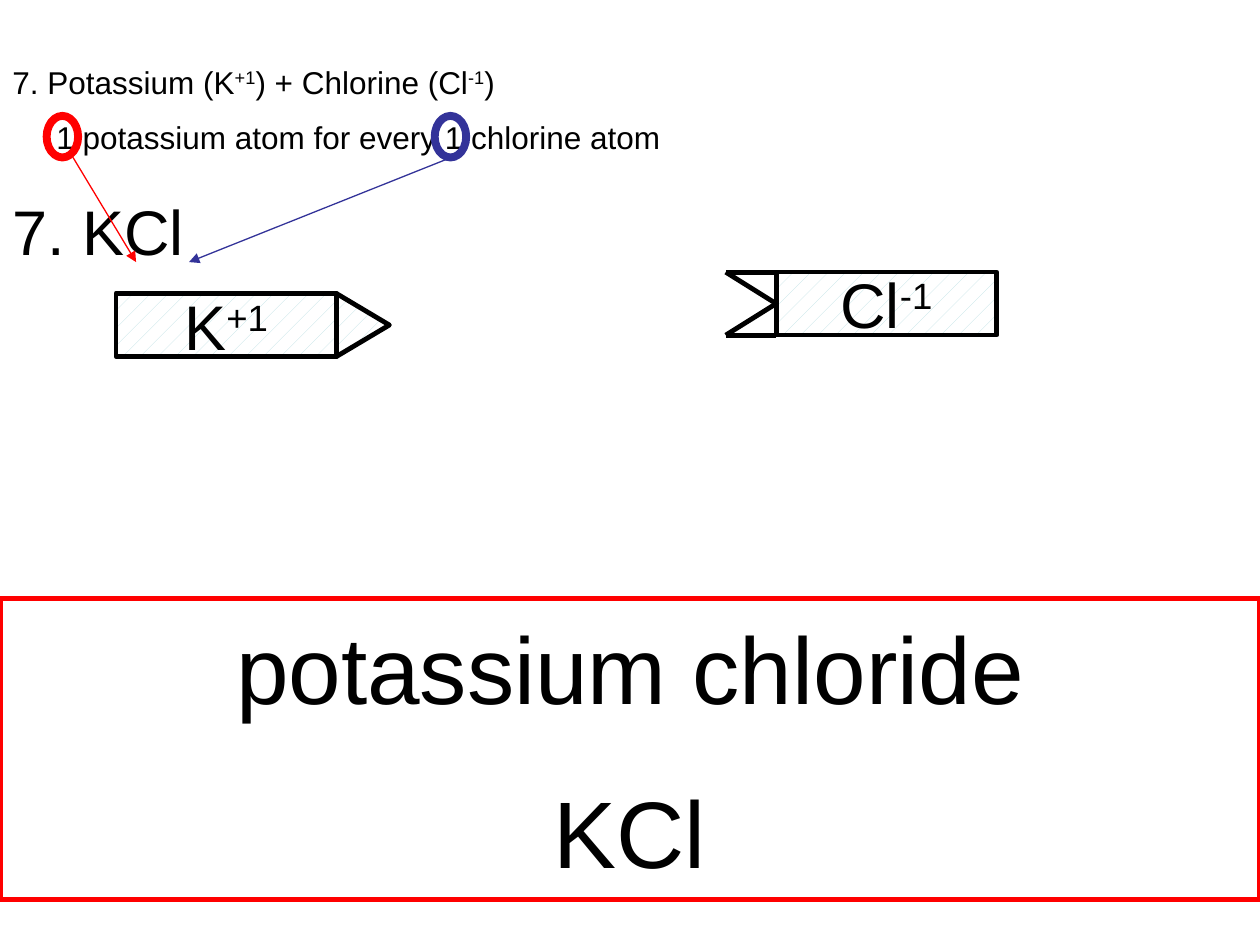
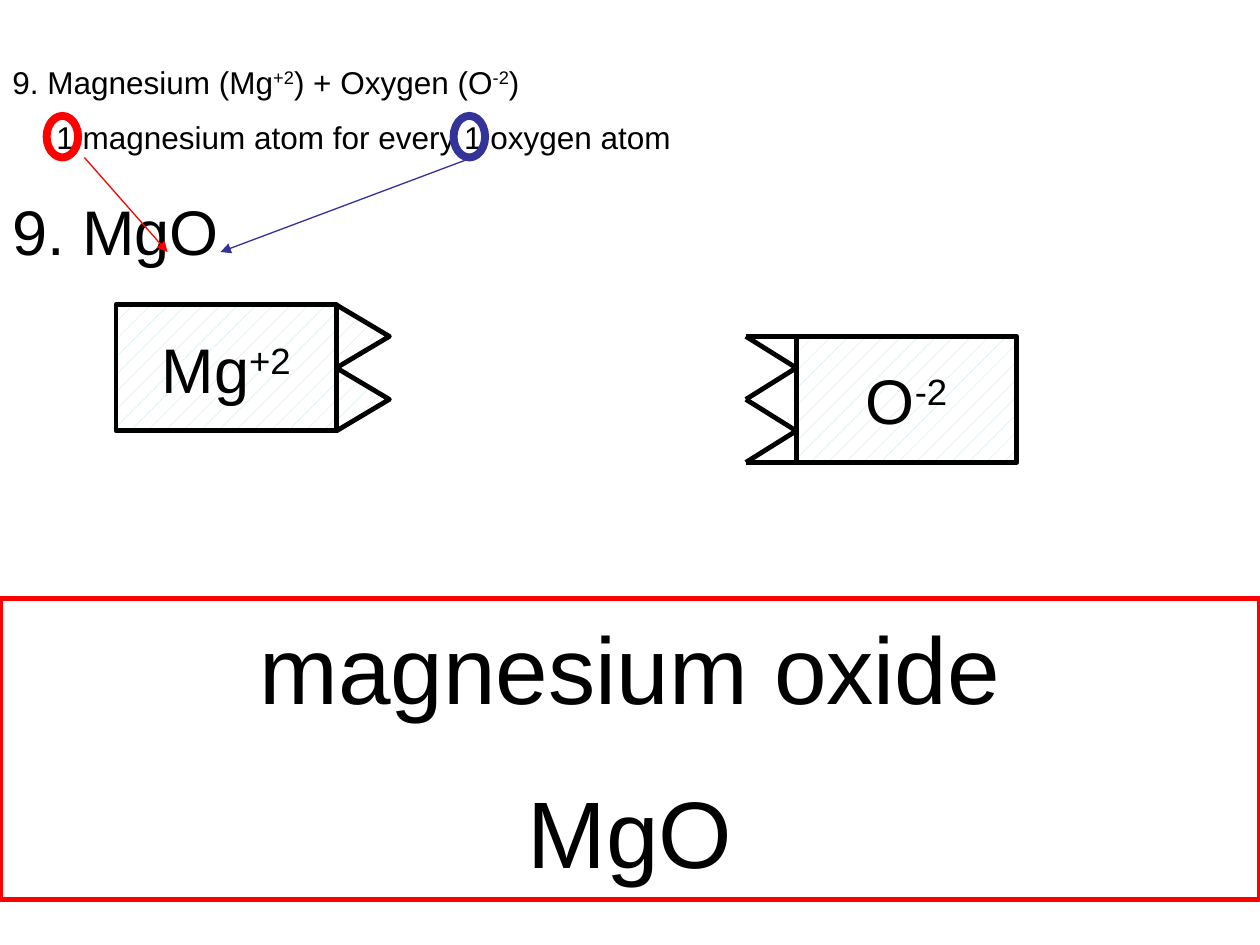
from dataclasses import dataclass

from lxml import etree
from pptx import Presentation
from pptx.dml.color import RGBColor
from pptx.enum.dml import MSO_PATTERN
from pptx.enum.shapes import MSO_CONNECTOR, MSO_SHAPE
from pptx.enum.text import MSO_ANCHOR, PP_ALIGN
from pptx.oxml.ns import qn
from pptx.util import Inches, Pt

RECT, OVAL, TRIANGLE = MSO_SHAPE.RECTANGLE, MSO_SHAPE.OVAL, MSO_SHAPE.ISOSCELES_TRIANGLE
STRAIGHT = MSO_CONNECTOR.STRAIGHT
LEFT, CENTER = PP_ALIGN.LEFT, PP_ALIGN.CENTER
MIDDLE = MSO_ANCHOR.MIDDLE
DOTTED = MSO_PATTERN.PERCENT_5


@dataclass
class Ion:
    element: str
    symbol: str
    charge: str
    corner: tuple  # top left of the ion's block


@dataclass
class Compound:
    number: int
    name: str
    cation: Ion
    anion: Ion
    anion_ring_left: float
    cation_arrow: tuple  # from x, from y, to x, to y
    anion_arrow: tuple

    def formula(self):
        return self.cation.symbol + self.anion.symbol


COMPOUNDS = [
    Compound(7, "potassium chloride",
             Ion("Potassium", "K", "+1", (0.92, 2.33)),
             Ion("Chlorine", "Cl", "-1", (6.16, 2.16)),
             3.45, (0.58, 1.25, 1.08, 2.08), (3.58, 1.25, 1.5, 2.08)),
    Compound(9, "magnesium oxide",
             Ion("Magnesium", "Mg", "+2", (0.92, 2.42)),
             Ion("Oxygen", "O", "-2", (6.32, 2.67)),
             3.6, (0.67, 1.25, 1.33, 2), (3.75, 1.25, 1.75, 2)),
]


class Theme:
    font = "Arial"
    black = RGBColor(0, 0, 0)
    white = RGBColor(255, 255, 255)
    cation = frame = RGBColor(255, 0, 0)
    anion = RGBColor(0x33, 0x33, 0x99)
    tint = RGBColor(0xBB, 0xE0, 0xE3)
    body, formula, answer = 18, 36, 54
    arrow, block, border, ring = 0.75, 2.75, 3, 4.5


BLOCK_WIDTH = 1.75
UNIT = 0.5  # block height for each unit of charge
TOOTH = 0.42
NOTCH = 0.4


def write(p, runs, size, align=LEFT, before=0):
    """Fill a paragraph; every second run is superscript."""
    for i, text in enumerate(runs):
        r = p.add_run()
        r.text = text
        if i % 2:
            r.font._element.set("baseline", "30000")
    p.alignment = align
    p.space_before = Pt(before)
    p.font.name, p.font.size, p.font.color.rgb = Theme.font, Pt(size), Theme.black


def add_outline(shapes, kind, box, color, width):
    sp = shapes.add_shape(kind, *map(Inches, box))
    sp.shadow.inherit = False
    sp.fill.background()
    sp.line.color.rgb, sp.line.width = color, Pt(width)
    return sp


def add_patterned(shapes, kind, box):
    sp = add_outline(shapes, kind, box, Theme.black, Theme.block)
    sp.fill.patterned()
    sp.fill.pattern = DOTTED
    sp.fill.fore_color.rgb, sp.fill.back_color.rgb = Theme.tint, Theme.white
    return sp


def add_line(shapes, ends, color, width, arrow=False):
    line = shapes.add_connector(STRAIGHT, *map(Inches, ends))
    line.line.color.rgb, line.line.width = color, Pt(width)
    if arrow:
        etree.SubElement(line.line._get_or_add_ln(), qn("a:tailEnd"), type="triangle")
    etree.SubElement(line._element.spPr, qn("a:effectLst"))


def add_ion_block(shapes, ion):
    """Draw the labelled block and return its group's shapes and number of charges."""
    group = shapes.add_group_shape().shapes
    charges = abs(int(ion.charge))
    sp = add_patterned(group, RECT, (*ion.corner, BLOCK_WIDTH, UNIT * charges))
    tf = sp.text_frame
    tf.word_wrap, tf.vertical_anchor = False, MIDDLE
    write(tf.paragraphs[0], [ion.symbol, ion.charge], Theme.formula, CENTER)
    return group, charges


def add_cation(shapes, ion):
    group, charges = add_ion_block(shapes, ion)
    x, y = ion.corner
    # The triangle is turned a quarter, so its frame is centred on the tooth
    left = x + BLOCK_WIDTH + (TOOTH - UNIT) / 2
    for i in range(charges):
        top = y + UNIT * i + (UNIT - TOOTH) / 2
        add_patterned(group, TRIANGLE, (left, top, UNIT, TOOTH)).rotation = 90


def add_anion(shapes, ion):
    group, charges = add_ion_block(shapes, ion)
    x, y = ion.corner
    tip, bottom = x - NOTCH, y + UNIT * charges
    lines = [(x, y, tip, y), (x, bottom, tip, bottom), (x, y, x, bottom)]
    for i in range(charges):
        top = y + UNIT * i
        middle = top + UNIT / 2
        lines += [(x, middle, tip, top), (x, middle, tip, top + UNIT)]
    for ends in lines:
        add_line(group, ends, Theme.black, Theme.block)


def add_question(shapes, c):
    cat, an = c.cation, c.anion
    tf = shapes.add_textbox(*map(Inches, (0, 0.45, 5.67, 1.75))).text_frame
    tf.word_wrap = True
    write(tf.paragraphs[0], [f"{c.number}. {cat.element} ({cat.symbol}", cat.charge,
                             f") + {an.element} ({an.symbol}", an.charge, ")"], Theme.body)
    ratio = tf.add_paragraph()
    ratio._p.get_or_add_pPr().set("marL", str(Inches(0.35)))
    write(ratio, [f"1 {cat.element.lower()} atom for every 1 {an.element.lower()} atom"],
          Theme.body, before=10)
    write(tf.add_paragraph(), [f"{c.number}. {c.formula()}"], Theme.formula, before=21)


def add_answer(shapes, c):
    sp = add_outline(shapes, RECT, (0, 4.75, 10, 2.39), Theme.frame, Theme.border)
    tf = sp.text_frame
    tf.word_wrap, tf.vertical_anchor = True, MIDDLE
    write(tf.paragraphs[0], [c.name], Theme.answer, CENTER)
    write(tf.add_paragraph(), [c.formula()], Theme.answer, CENTER, before=29)


def add_compound_slide(prs, c):
    shapes = prs.slides.add_slide(prs.slide_layouts[6]).shapes
    add_question(shapes, c)
    for left, color in ((0.37, Theme.cation), (c.anion_ring_left, Theme.anion)):
        add_outline(shapes, OVAL, (left, 0.92, 0.25, 0.33), color, Theme.ring)
    for ends, color in ((c.cation_arrow, Theme.cation), (c.anion_arrow, Theme.anion)):
        add_line(shapes, ends, color, Theme.arrow, arrow=True)
    add_answer(shapes, c)
    add_cation(shapes, c.cation)
    add_anion(shapes, c.anion)


def main():
    prs = Presentation()
    prs.slide_width, prs.slide_height = Inches(10), Inches(7.5)
    for compound in COMPOUNDS:
        add_compound_slide(prs, compound)
    prs.save("out.pptx")


if __name__ == "__main__":
    main()
